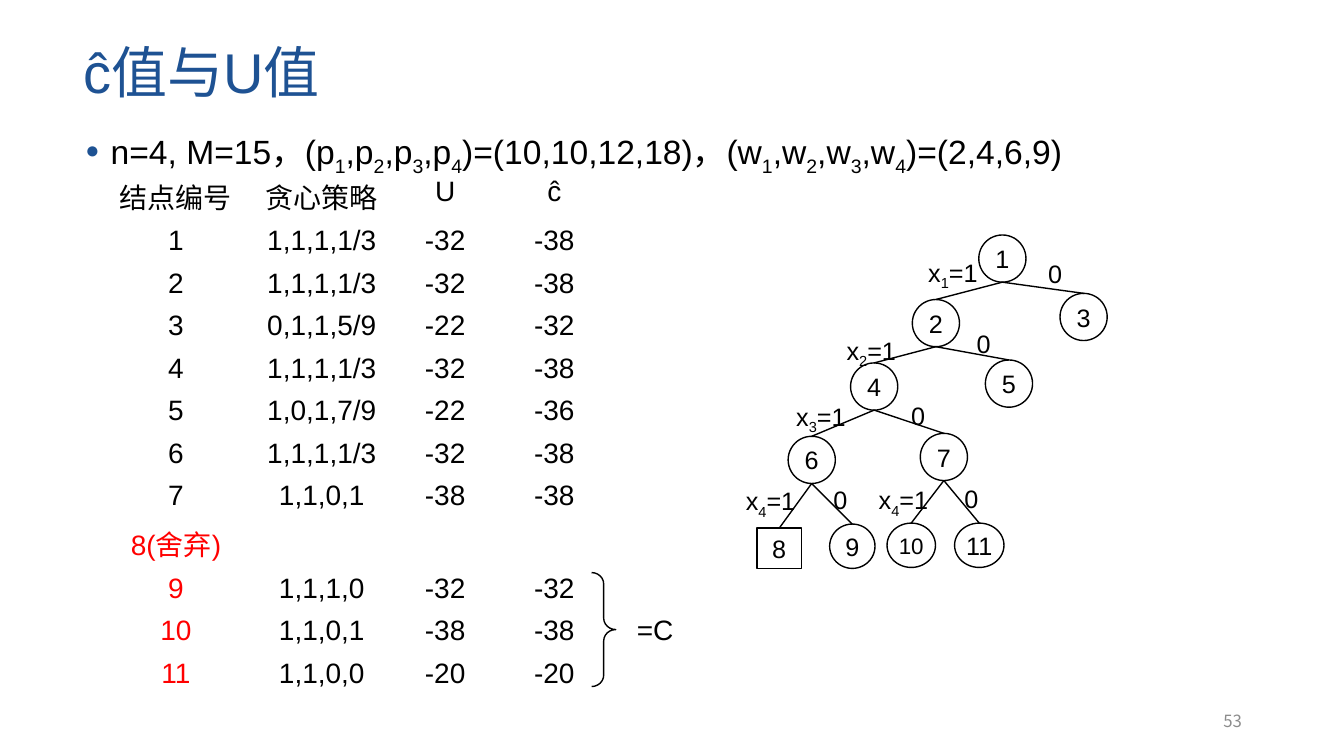
from dataclasses import dataclass

from lxml import etree
from pptx import Presentation
from pptx.dml.color import RGBColor
from pptx.enum.shapes import MSO_CONNECTOR, MSO_SHAPE
from pptx.enum.text import MSO_ANCHOR, PP_ALIGN
from pptx.oxml.ns import qn
from pptx.util import Pt

OVAL, SQUARE, BRACE = MSO_SHAPE.OVAL, MSO_SHAPE.RECTANGLE, MSO_SHAPE.RIGHT_BRACE
STRAIGHT = MSO_CONNECTOR.STRAIGHT
LEFT, CENTER, RIGHT = PP_ALIGN.LEFT, PP_ALIGN.CENTER, PP_ALIGN.RIGHT
TOP, MIDDLE = MSO_ANCHOR.TOP, MSO_ANCHOR.MIDDLE

LATIN, HAN = "Arial", "Noto Sans CJK SC"
BLACK, BLUE, RED, GRAY = "000000", "1E5293", "FF0000", "8C8C8C"


@dataclass(frozen=True)
class Node:
    """A tree node given by its centre."""
    x: float
    y: float
    width: float = 33.7
    height: float = 33.7
    size: float = 18
    outline: MSO_SHAPE = OVAL


@dataclass(frozen=True)
class Branch:
    parent: int
    child: int
    label: str
    label_left: float
    label_top: float


NODES = {
    1: Node(716, 184.7),
    2: Node(668.5, 230.8),
    3: Node(774, 226.4),
    4: Node(624.4, 276.1),
    5: Node(720.7, 274),
    6: Node(579.8, 328.5),
    7: Node(674.2, 326.4),
    8: Node(556.6, 391.7, 31.7, 28.8, outline=SQUARE),
    9: Node(608.8, 390.2, 32.4, 31.7),
    10: Node(650.9, 389.5, 34.6, 31.7, size=16),
    11: Node(699.5, 389.5, 35.3, 31.7),
}
BRANCHES = [
    Branch(1, 2, "x_1=1", 655.9, 180),
    Branch(1, 3, "0", 741.6, 180.7),
    Branch(2, 4, "x_2=1", 597.6, 236),
    Branch(2, 5, "0", 690.5, 231.1),
    Branch(4, 6, "x_3=1", 561.6, 283),
    Branch(4, 7, "0", 643.7, 282.2),
    Branch(6, 8, "x_4=1", 525.6, 343.4),
    Branch(6, 9, "0", 588.2, 342.7),
    Branch(7, 10, "x_4=1", 620.6, 342.7),
    Branch(7, 11, "0", 681.8, 342),
]

BOUNDS = [
    ("结点编号", "贪心策略", "U", "ĉ"),
    ("1", "1,1,1,1/3", "-32", "-38"),
    ("2", "1,1,1,1/3", "-32", "-38"),
    ("3", "0,1,1,5/9", "-22", "-32"),
    ("4", "1,1,1,1/3", "-32", "-38"),
    ("5", "1,0,1,7/9", "-22", "-36"),
    ("6", "1,1,1,1/3", "-32", "-38"),
    ("7", "1,1,0,1", "-38", "-38"),
    ("8(舍弃)", "", "", ""),
    ("9", "1,1,1,0", "-32", "-32"),
    ("10", "1,1,0,1", "-38", "-38"),
    ("11", "1,1,0,0", "-20", "-20"),
]
COLUMN_WIDTHS = [100.2, 108.2, 68, 88]
HAN_ROWS, FIRST_LEAF_ROW = (0, 8), 8


def rgb(color: str) -> RGBColor:
    return RGBColor.from_string(color)


def write(frame, text: str, *, size: float, color: str = BLACK, font: str = LATIN,
          align=LEFT, anchor=TOP, spacing: float = 1.0, wrap: bool = False,
          bullet: bool = False) -> None:
    """Fill a text frame; the character after each underscore is a subscript."""
    frame.word_wrap = wrap
    frame.vertical_anchor = anchor
    paragraph = frame.paragraphs[0]
    if bullet:
        add_bullet(paragraph)
    paragraph.alignment = align
    paragraph.line_spacing = spacing
    first, *others = text.split("_")
    pieces = [(first, False)]
    for other in others:
        pieces += [(other[:1], True), (other[1:], False)]
    for piece, lowered in pieces:
        if not piece:
            continue
        run = paragraph.add_run()
        run.text = piece
        run.font.size = Pt(size)
        run.font.name = font
        run.font.color.rgb = rgb(color)
        properties = run._r.get_or_add_rPr()
        etree.SubElement(properties, qn("a:ea"), typeface=HAN)
        if lowered:
            properties.set("baseline", "-25000")


def add_bullet(paragraph) -> None:
    properties = paragraph._p.get_or_add_pPr()
    properties.set("marL", str(Pt(18)))
    properties.set("indent", str(-Pt(20)))
    bullet_color = etree.SubElement(properties, qn("a:buClr"))
    etree.SubElement(bullet_color, qn("a:srgbClr"), val=BLUE)
    etree.SubElement(properties, qn("a:buSzPct"), val="70000")
    etree.SubElement(properties, qn("a:buFont"), typeface=LATIN)
    etree.SubElement(properties, qn("a:buChar"), char="●")


def add_text(slide, left: float, top: float, width: float, height: float,
             text: str, **text_format) -> None:
    box = slide.shapes.add_textbox(Pt(left), Pt(top), Pt(width), Pt(height))
    write(box.text_frame, text, **text_format)


def add_outline(slide, kind, left: float, top: float, width: float, height: float):
    shape = slide.shapes.add_shape(kind, Pt(left), Pt(top), Pt(width), Pt(height))
    shape.shadow.inherit = False
    shape.fill.background()
    shape.line.color.rgb = rgb(BLACK)
    shape.line.width = Pt(1)
    return shape


def add_node(slide, number: int, node: Node) -> None:
    shape = add_outline(slide, node.outline, node.x - node.width / 2,
                        node.y - node.height / 2, node.width, node.height)
    frame = shape.text_frame
    frame.margin_left = frame.margin_right = Pt(3)
    frame.margin_top = frame.margin_bottom = Pt(3)
    write(frame, str(number), size=node.size, align=CENTER, anchor=MIDDLE)


def add_branch(slide, branch: Branch) -> None:
    parent, child = NODES[branch.parent], NODES[branch.child]
    line = slide.shapes.add_connector(
        STRAIGHT, Pt(parent.x), Pt(parent.y + parent.height / 2),
        Pt(child.x), Pt(child.y - child.height / 2))
    line.line.color.rgb = rgb(BLACK)
    line.line.width = Pt(1)
    etree.SubElement(line._element.spPr, qn("a:effectLst"))
    add_text(slide, branch.label_left, branch.label_top, 60, 27.4, branch.label, size=18)


def add_bounds_table(slide) -> None:
    heights = [35.4 if row in HAN_ROWS else 29.5 for row in range(len(BOUNDS))]
    table = slide.shapes.add_table(
        len(BOUNDS), len(COLUMN_WIDTHS), Pt(75.6), Pt(122.4),
        Pt(sum(COLUMN_WIDTHS)), Pt(sum(heights))).table
    table.first_row = table.horz_banding = False
    for column, width in zip(table.columns, COLUMN_WIDTHS):
        column.width = Pt(width)
    for row, (values, height) in enumerate(zip(BOUNDS, heights)):
        table.rows[row].height = Pt(height)
        for column, value in enumerate(values):
            cell = table.cell(row, column)
            cell.fill.background()
            cell.margin_top = cell.margin_bottom = Pt(3.2)
            is_leaf = column == 0 and row >= FIRST_LEAF_ROW
            write(cell.text_frame, value, size=20, align=CENTER, wrap=True,
                  color=RED if is_leaf else BLACK)


def main() -> None:
    presentation = Presentation()
    presentation.slide_width, presentation.slide_height = Pt(960), Pt(540)
    slide = presentation.slides.add_slide(presentation.slide_layouts[6])

    add_text(slide, 52.6, 5, 828, 98, "ĉ值与U值", size=40, color=BLUE,
             anchor=MIDDLE, spacing=0.9, wrap=True)
    add_text(slide, 678.2, 500.4, 216, 28.8, "53", size=12, color=GRAY, font=HAN,
             align=RIGHT, anchor=MIDDLE, wrap=True)
    add_bounds_table(slide)
    add_text(slide, 54, 90.7, 828, 40.3,
             "n=4, M=15，(p_1,p_2,p_3,p_4)=(10,10,12,18)，(w_1,w_2,w_3,w_4)=(2,4,6,9)",
             size=24, spacing=0.9, wrap=True, bullet=True)

    for branch in BRANCHES:
        add_branch(slide, branch)
    for number, node in NODES.items():
        add_node(slide, number, node)

    brace = add_outline(slide, BRACE, 422.6, 409, 17.3, 81.4)
    brace.adjustments[0] = 0.47
    add_text(slide, 447.8, 434.2, 41, 31.7, "=C", size=20)

    presentation.save("out.pptx")


if __name__ == "__main__":
    main()
